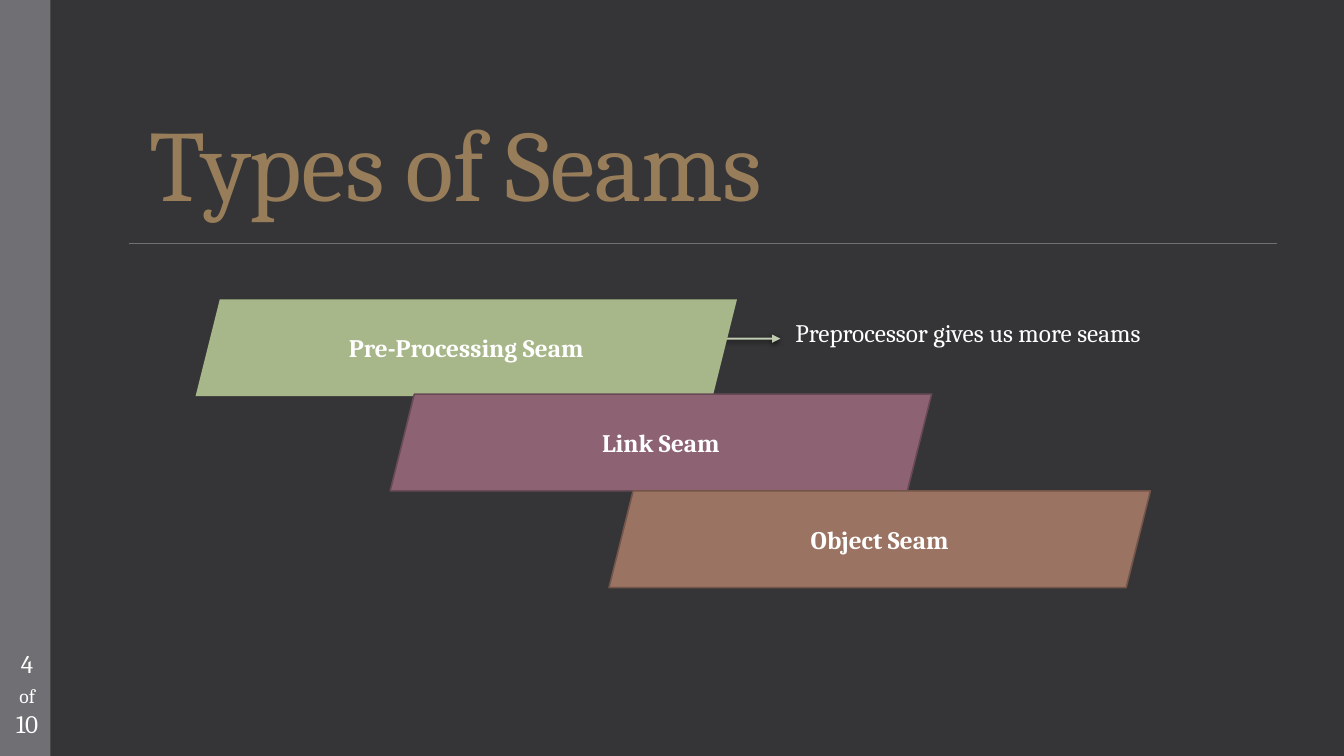
from dataclasses import dataclass

from pptx import Presentation
from pptx.dml.color import RGBColor
from pptx.enum.shapes import MSO_CONNECTOR, MSO_SHAPE
from pptx.enum.text import MSO_ANCHOR, PP_ALIGN
from pptx.oxml import parse_xml
from pptx.oxml.ns import nsdecls
from pptx.util import Inches, Pt


@dataclass(frozen=True)
class Theme:
    font: str = "Cambria"
    background: str = "353537"
    rail: str = "6F6F74"
    title: str = "987D5A"
    text: str = "FFFFFF"
    arrow: str = "CAD4B8"
    preprocessing: str = "A7B789"
    link: str = "8D6374"
    link_edge: str = "684956"
    object: str = "9B7362"
    object_edge: str = "735549"
    title_size: float = 72
    body_size: float = 18
    small_size: float = 14


theme = Theme()


def add_run(paragraph, text, size=theme.body_size, color=theme.text, bold=False):
    run = paragraph.add_run()
    run.text = text
    run.font.name = theme.font
    run.font.size = Pt(size)
    run.font.bold = bold
    run.font.color.rgb = RGBColor.from_string(color)
    return run


def add_line(shapes, left, right, y, color, width, effects=""):
    line = shapes.add_connector(
        MSO_CONNECTOR.STRAIGHT, Inches(left), Inches(y), Inches(right), Inches(y)
    )
    line.line.color.rgb = RGBColor.from_string(color)
    line.line.width = Pt(width)
    line._element.spPr.append(
        parse_xml(f'<a:effectLst {nsdecls("a")}>{effects}</a:effectLst>')
    )
    return line


prs = Presentation()
prs.slide_width = Inches(13.33)
prs.slide_height = Inches(7.5)
slide = prs.slides.add_slide(prs.slide_layouts[6])
slide.background.fill.solid()
slide.background.fill.fore_color.rgb = RGBColor.from_string(theme.background)
shapes = slide.shapes

rail = shapes.add_shape(MSO_SHAPE.RECTANGLE, 0, 0, Inches(0.5), prs.slide_height)
rail.shadow.inherit = False
rail.fill.solid()
rail.fill.fore_color.rgb = RGBColor.from_string(theme.rail)
rail.line.fill.background()

arrow_shadow = (
    '<a:outerShdw blurRad="50800" dist="15240" dir="5400000" rotWithShape="0">'
    '<a:srgbClr val="000000"><a:alpha val="75000"/></a:srgbClr></a:outerShdw>'
)
arrow = add_line(shapes, 6.88, 7.74, 3.36, theme.arrow, 1.35, arrow_shadow)
arrow_stroke = arrow.line._get_or_add_ln()
arrow_stroke.find(".//{*}srgbClr").append(
    parse_xml(f'<a:alpha {nsdecls("a")} val="95000"/>')
)
arrow_stroke.append(parse_xml(f'<a:tailEnd {nsdecls("a")} type="triangle"/>'))

title = shapes.add_textbox(Inches(1.38), Inches(0.83), Inches(8.86), Inches(1.42))
title.text_frame.word_wrap = True
title.text_frame.vertical_anchor = MSO_ANCHOR.BOTTOM
title_line = title.text_frame.paragraphs[0]
title_line.line_spacing = 0.85
title_run = add_run(title_line, "Types of Seams", theme.title_size, theme.title)
title_run.font._element.set("spc", "-50")

seams = [
    ("Pre-Processing Seam", 1.94, 2.97, theme.preprocessing, None),
    ("Link Seam", 3.87, 3.91, theme.link, theme.link_edge),
    ("Object Seam", 6.04, 4.87, theme.object, theme.object_edge),
]
for label, left, top, fill, edge in seams:
    seam = shapes.add_shape(
        MSO_SHAPE.PARALLELOGRAM, Inches(left), Inches(top), Inches(5.37), Inches(0.96)
    )
    seam.shadow.inherit = False
    seam.fill.solid()
    seam.fill.fore_color.rgb = RGBColor.from_string(fill)
    if edge:
        seam.line.color.rgb = RGBColor.from_string(edge)
        seam.line.width = Pt(1.1)
    else:
        seam.line.fill.background()
    seam.text_frame.word_wrap = True
    seam.text_frame.vertical_anchor = MSO_ANCHOR.MIDDLE
    seam_label = seam.text_frame.paragraphs[0]
    seam_label.alignment = PP_ALIGN.CENTER
    add_run(seam_label, label, bold=True)

add_line(shapes, 1.28, 12.67, 2.42, theme.rail, 0.75)

remark = shapes.add_textbox(Inches(7.79), Inches(3.1), Inches(4.39), Inches(0.4))
remark.text_frame.word_wrap = True
add_run(remark.text_frame.paragraphs[0], "Preprocessor gives us more seams")

page = shapes.add_textbox(0, Inches(6.38), Inches(0.54), Inches(1.01))
page.text_frame.word_wrap = True
page_number = page.text_frame.paragraphs[0]
page_total = page.text_frame.add_paragraph()
page_number.alignment = page_total.alignment = PP_ALIGN.CENTER
add_run(page_number, "4")
add_run(page_total, "of", theme.small_size)
add_run(page_total, " 10")

prs.save("out.pptx")
